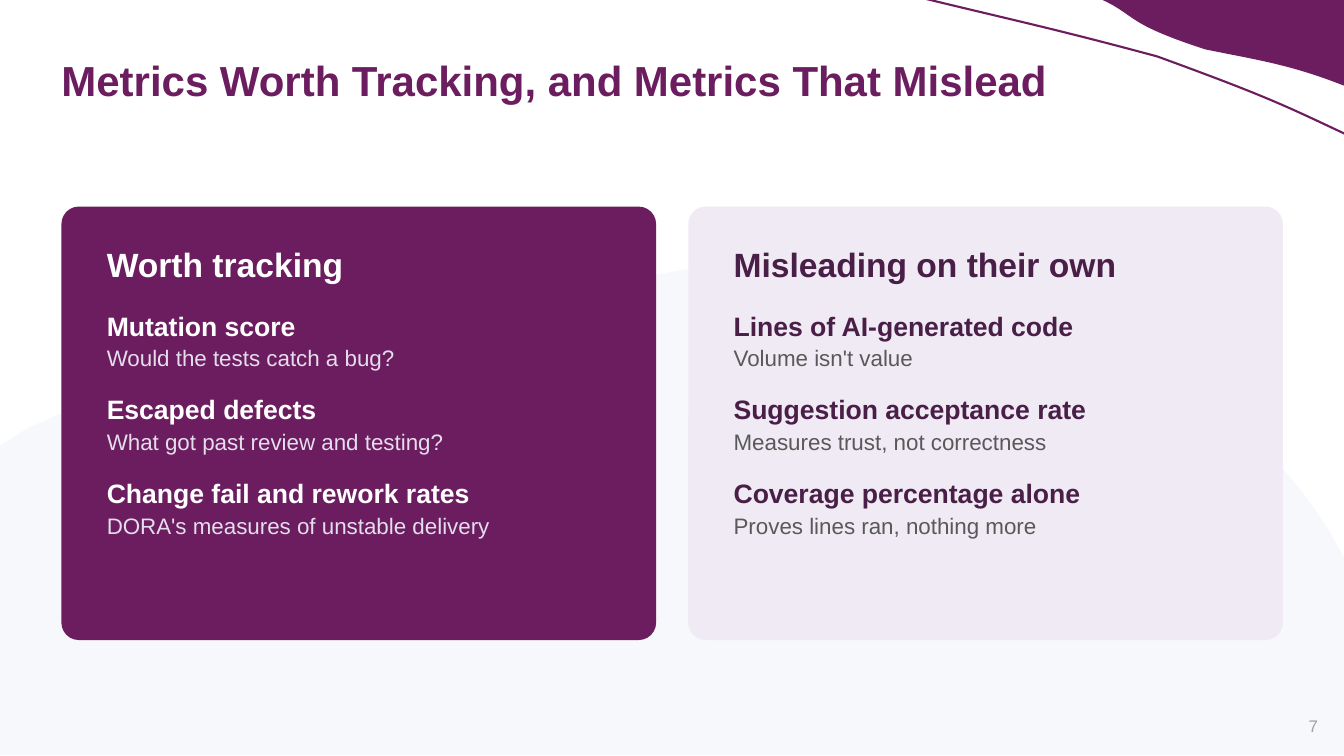
from lxml.etree import SubElement
from pptx import Presentation
from pptx.dml.color import RGBColor
from pptx.enum.shapes import MSO_SHAPE as Preset
from pptx.enum.text import MSO_ANCHOR as Anchor, MSO_AUTO_SIZE as AutoSize, PP_ALIGN as Align
from pptx.oxml.ns import qn
from pptx.util import Pt

COLORS = {
    "plum": "6C1D5F", "aubergine": "491E47", "white": "FFFFFF", "mist": "F7F8FC",
    "lilac": "EFEAF4", "pale": "E4DDEC", "slate": "595959", "gray": "A1A1A1",
}
FONT = "Arial"

WAVE = [
    (557.3, 0), (571.7, 0, 586.1, 0, 601.2, 1.8), (723.6, 11.2, 880.6, 75.3, 952.6, 198.4),
    (960, 212), (960, 353.2), (0, 353.2), (0, 132.2), (15.8, 122.1),
    (88.6, 83.2, 190.8, 76.7, 277.2, 58.7), (377.3, 37.8, 457.2, 1.8, 557.3, 0),
]
THREAD = [(0, 0), (68.4, 16.6, 92.9, 21.6, 164.9, 41), (246.2, 70.6, 257.8, 77, 301, 97.2)]
CORNER = [
    (0, 0), (172.5, 0), (172.5, 20.2, 172.5, 40.3, 172.5, 61.2),
    (133.9, 46.1, 112.3, 43.2, 73.4, 35.3), (15.8, 16.6, 24.5, 11.5, 0, 0),
]

WORTH_TRACKING = [
    ("Mutation score", "Would the tests catch a bug?"),
    ("Escaped defects", "What got past review and testing?"),
    ("Change fail and rework rates", "DORA's measures of unstable delivery"),
]
MISLEADING = [
    ("Lines of AI-generated code", "Volume isn't value"),
    ("Suggestion acceptance rate", "Measures trust, not correctness"),
    ("Coverage percentage alone", "Proves lines ran, nothing more"),
]


def rgb(color):
    """Return the named palette colour."""
    return RGBColor.from_string(COLORS[color])


def add_run(paragraph, wording, size, color, bold=False):
    """Append one formatted run to a paragraph."""
    run = paragraph.add_run()
    run.text = wording
    run.font.name = FONT
    run.font.size = Pt(size)
    run.font.bold = bold
    run.font.color.rgb = rgb(color)


def set_margins(frame, horizontal, vertical):
    """Give a text frame equal side margins and equal top and bottom margins."""
    frame.margin_left = frame.margin_right = Pt(horizontal)
    frame.margin_top = frame.margin_bottom = Pt(vertical)


def bend(flourish, outline):
    """Replace the straight segments with the cubic curves of the outline."""
    segments = list(flourish.element.iter(qn("a:lnTo")))
    for segment, curve in zip(segments, outline[1:]):
        if len(curve) == 2:
            continue
        cubic = SubElement(segment.getparent(), qn("a:cubicBezTo"))
        for x, y in zip(curve[::2], curve[1::2]):
            SubElement(cubic, qn("a:pt"), x=str(int(Pt(x))), y=str(int(Pt(y))))
        segment.getparent().replace(segment, cubic)


def add_flourish(slide, outline, left, top, color, filled=True):
    """Draw a curved outline from its corner, filled or as a thin line."""
    ends = [(Pt(left + part[-2]), Pt(top + part[-1])) for part in outline]
    builder = slide.shapes.build_freeform(*ends[0])
    builder.add_line_segments(ends[1:], close=filled)
    flourish = builder.convert_to_shape()
    bend(flourish, outline)
    flourish.shadow.inherit = False
    if filled:
        flourish.fill.solid()
        flourish.fill.fore_color.rgb = rgb(color)
        flourish.line.fill.background()
    else:
        flourish.fill.background()
        flourish.line.color.rgb = rgb(color)
        flourish.line.width = Pt(1.5)


def add_backdrop(slide):
    """Draw the wave, the thin line and the corner."""
    add_flourish(slide, WAVE, 0, 186.2, "mist")
    add_flourish(slide, THREAD, 661.7, -0.7, "plum", filled=False)
    add_flourish(slide, CORNER, 787.7, 0, "plum")


def add_heading(slide, left, top, width, height, wording):
    """Place and fill the title placeholder in front of the backdrop."""
    heading = slide.shapes.title
    heading.element.getparent().append(heading.element)
    heading.left, heading.top = Pt(left), Pt(top)
    heading.width, heading.height = Pt(width), Pt(height)
    frame = heading.text_frame
    frame.auto_size = AutoSize.NONE
    frame.word_wrap = True
    frame.vertical_anchor = Anchor.TOP
    set_margins(frame, 0, 0)
    paragraph = frame.paragraphs[0]
    paragraph.alignment = Align.LEFT
    paragraph.line_spacing = 0.9
    add_run(paragraph, wording, 30, "plum", bold=True)


def add_card(slide, left, top, width, height, heading, metrics, fill, strong, soft):
    """Draw a rounded card with a heading and its metrics."""
    card = slide.shapes.add_shape(
        Preset.ROUNDED_RECTANGLE, Pt(left), Pt(top), Pt(width), Pt(height))
    card.adjustments[0] = 0.04
    card.shadow.inherit = False
    card.fill.solid()
    card.fill.fore_color.rgb = rgb(fill)
    card.line.fill.background()
    frame = card.text_frame
    frame.word_wrap = True
    frame.vertical_anchor = Anchor.TOP
    set_margins(frame, 28.8, 23.04)

    rows = [(heading, 24, strong, True, 18)]
    for metric, remark in metrics:
        rows += [(metric, 19, strong, True, 2), (remark, 16, soft, False, 16)]
    for index, (wording, size, color, bold, gap) in enumerate(rows):
        paragraph = frame.add_paragraph() if index else frame.paragraphs[0]
        paragraph.alignment = Align.LEFT
        paragraph.space_after = Pt(gap)
        add_run(paragraph, wording, size, color, bold)


def add_page_number(slide, left, top, side, number):
    """Place the page number in a square box."""
    page_number = slide.shapes.add_textbox(Pt(left), Pt(top), Pt(side), Pt(side))
    frame = page_number.text_frame
    frame.word_wrap = True
    frame.vertical_anchor = Anchor.MIDDLE
    paragraph = frame.paragraphs[0]
    paragraph.alignment = Align.CENTER
    add_run(paragraph, number, 12, "gray")


def build_metrics_slide(deck):
    """Build the slide that compares useful and misleading metrics."""
    slide = deck.slides.add_slide(deck.slide_layouts[5])
    margin, card_top, card_width, card_height, gutter = 43.9, 147.6, 424.8, 309.6, 23
    add_backdrop(slide)
    add_heading(slide, margin, 43.2, 2 * card_width + gutter, 89.3,
                "Metrics Worth Tracking, and Metrics That Mislead")
    add_page_number(slide, 916.6, 496.8, 43.2, "7")
    cards = [
        ("Worth tracking", WORTH_TRACKING, "plum", "white", "pale"),
        ("Misleading on their own", MISLEADING, "lilac", "aubergine", "slate"),
    ]
    for column, card in enumerate(cards):
        left = margin + column * (card_width + gutter)
        add_card(slide, left, card_top, card_width, card_height, *card)


def main():
    """Build and save the deck."""
    deck = Presentation()
    deck.slide_width, deck.slide_height = Pt(960.1), Pt(540)
    build_metrics_slide(deck)
    deck.save("out.pptx")


if __name__ == "__main__":
    main()
